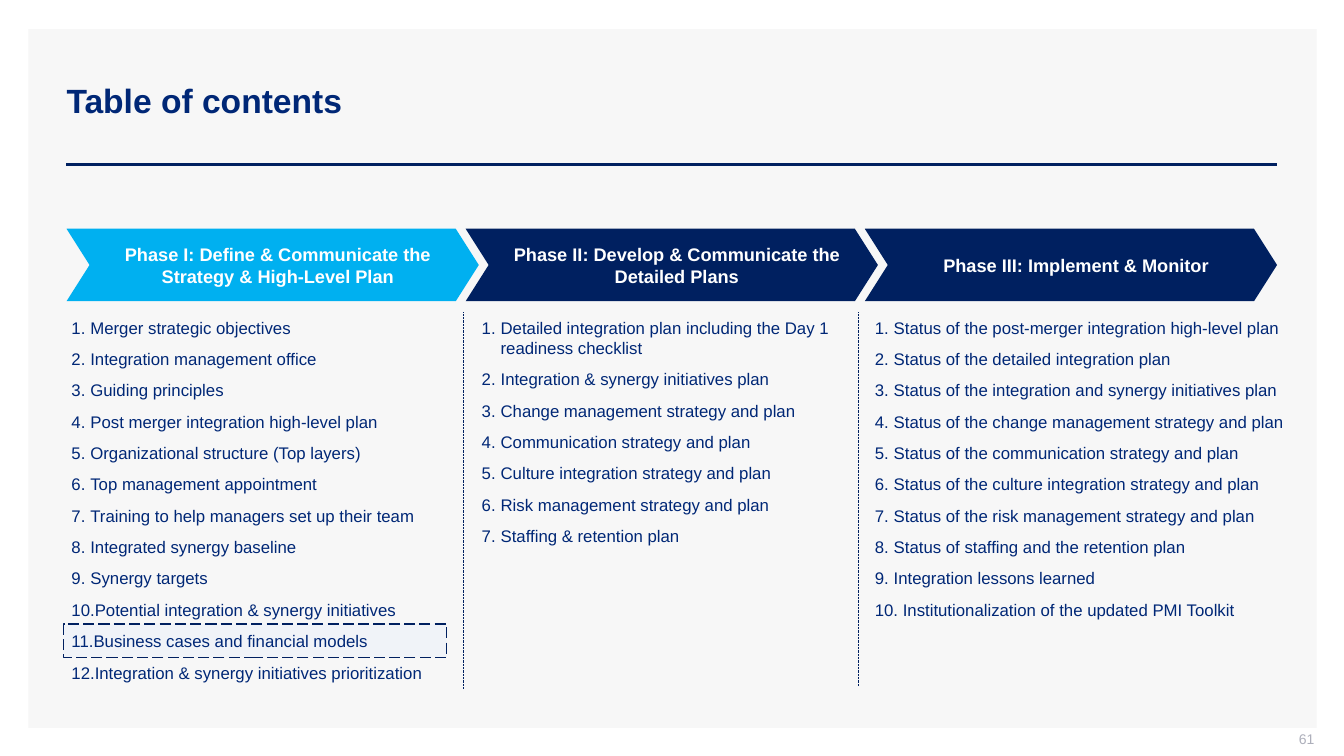
from lxml.etree import SubElement
from pptx import Presentation
from pptx.dml.color import RGBColor
from pptx.enum.dml import MSO_LINE
from pptx.enum.shapes import MSO_CONNECTOR, MSO_SHAPE
from pptx.enum.text import MSO_ANCHOR, MSO_AUTO_SIZE, PP_ALIGN
from pptx.oxml.ns import qn
from pptx.util import Pt

NAVY, TEXT_BLUE, SKY = "002060", "002776", "00B0F0"
WHITE, PANEL_GREY, NUMBER_GREY, HIGHLIGHT = "FFFFFF", "F7F7F7", "ADAFBB", "D6E3FF"

PHASES = [
    ("Phase I: Define & Communicate the Strategy & High-Level Plan", SKY, [
        "Merger strategic objectives",
        "Integration management office",
        "Guiding principles",
        "Post merger integration high-level plan",
        "Organizational structure (Top layers)",
        "Top management appointment",
        "Training to help managers set up their team",
        "Integrated synergy baseline",
        "Synergy targets",
        "Potential integration & synergy initiatives",
        "Business cases and financial models",
        "Integration & synergy initiatives prioritization",
    ]),
    ("Phase II: Develop & Communicate the Detailed Plans", NAVY, [
        "Detailed integration plan including the Day 1 readiness checklist",
        "Integration & synergy initiatives plan",
        "Change management strategy and plan",
        "Communication strategy and plan",
        "Culture integration strategy and plan",
        "Risk management strategy and plan",
        "Staffing & retention plan",
    ]),
    ("Phase III: Implement & Monitor", NAVY, [
        "Status of the post-merger integration high-level plan",
        "Status of the detailed integration plan",
        "Status of the integration and synergy initiatives plan",
        "Status of the change management strategy and plan",
        "Status of the communication strategy and plan",
        "Status of the culture integration strategy and plan",
        "Status of the risk management strategy and plan",
        "Status of staffing and the retention plan",
        "Integration lessons learned",
        " Institutionalization of the updated PMI Toolkit",
    ]),
]
LIST_BOXES = [(44, 223.2, 287.2, 270.7), (337, 223.2, 272.2, 172.1), (617.8, 223.2, 311, 225.4)]
DIVIDERS = [(331.2, 223.2, 269.3), (613.4, 223.2, 266.4)]  # x, top, height


def color(value):
    return RGBColor.from_string(value)


def add_run(paragraph, text, size, text_color, bold=False):
    run = paragraph.add_run()
    run.text = text
    font = run.font
    font.name, font.size, font.bold = "Arial", Pt(size), bold
    font.color.rgb = color(text_color)


def add_filled_shape(slide, kind, box, fill):
    shape = slide.shapes.add_shape(kind, *map(Pt, box))
    shape.shadow.inherit = False
    shape.fill.solid()
    shape.fill.fore_color.rgb = color(fill)
    shape.line.fill.background()
    return shape


def add_line(slide, start, end, width, dash=None):
    line = slide.shapes.add_connector(MSO_CONNECTOR.STRAIGHT, *map(Pt, start + end))
    line.line.color.rgb = color(NAVY)
    line.line.width = Pt(width)
    if dash is not None:
        line.line.dash_style = dash
    SubElement(line._element.spPr, qn("a:effectLst"))


def add_title(slide, box, text):
    title = slide.shapes.title
    title.left, title.top, title.width, title.height = map(Pt, box)
    frame = title.text_frame
    frame.auto_size = MSO_AUTO_SIZE.NONE
    frame.vertical_anchor = MSO_ANCHOR.MIDDLE
    paragraph = frame.paragraphs[0]
    paragraph.alignment = PP_ALIGN.LEFT
    add_run(paragraph, text, 24, TEXT_BLUE, bold=True)


def add_page_number(slide, box, text):
    frame = slide.shapes.add_textbox(*map(Pt, box)).text_frame
    frame.word_wrap = True
    frame.vertical_anchor = MSO_ANCHOR.MIDDLE
    frame.margin_top, frame.margin_right, frame.margin_bottom = Pt(0), Pt(0), Pt(3.6)
    paragraph = frame.paragraphs[0]
    paragraph.alignment = PP_ALIGN.RIGHT
    add_run(paragraph, text, 10, NUMBER_GREY)


def add_highlight(slide, box):
    """Dashed, mostly transparent frame behind the current chapter."""
    shape = add_filled_shape(slide, MSO_SHAPE.RECTANGLE, box, HIGHLIGHT)
    fill_color = shape._element.spPr.find(qn("a:solidFill"))[0]
    SubElement(fill_color, qn("a:alpha"), val="20000")
    shape.line.color.rgb = color(NAVY)
    shape.line.width = Pt(1)
    shape.line.dash_style = MSO_LINE.LONG_DASH


def add_phase_arrow(slide, box, text, fill):
    arrow = add_filled_shape(slide, MSO_SHAPE.CHEVRON, box, fill)
    arrow.adjustments[0] = 0.318
    frame = arrow.text_frame
    frame.word_wrap = True
    frame.margin_right = Pt(0)
    frame.vertical_anchor = MSO_ANCHOR.MIDDLE
    paragraph = frame.paragraphs[0]
    paragraph.alignment = PP_ALIGN.CENTER
    add_run(paragraph, text, 13, WHITE, bold=True)


def add_numbered_list(slide, box, items):
    frame = slide.shapes.add_textbox(*map(Pt, box)).text_frame
    frame.word_wrap = True
    frame.auto_size = MSO_AUTO_SIZE.SHAPE_TO_FIT_TEXT
    for index, item in enumerate(items):
        paragraph = frame.add_paragraph() if index else frame.paragraphs[0]
        properties = paragraph._p.get_or_add_pPr()
        properties.set("marL", str(Pt(13.5)))
        properties.set("indent", str(-Pt(13.5)))
        SubElement(properties, qn("a:buFont"), typeface="Arial")
        SubElement(properties, qn("a:buAutoNum"), type="arabicPeriod")
        paragraph.space_before = Pt(4 if index else 0)
        paragraph.space_after = Pt(4)
        add_run(paragraph, item, 12, TEXT_BLUE)


def add_phases(slide, left, top, right):
    """Overlapping phase arrows from left to right, with their lists below."""
    width, height = 294.5, 51.8
    step = (right - left - width) / (len(PHASES) - 1)
    for index, ((heading, fill, items), list_box) in enumerate(zip(PHASES, LIST_BOXES)):
        add_phase_arrow(slide, (left + index * step, top, width, height), heading, fill)
        add_numbered_list(slide, list_box, items)
    for x, divider_top, divider_height in DIVIDERS:
        add_line(slide, (x, divider_top), (x, divider_top + divider_height),
                 0.5, MSO_LINE.ROUND_DOT)


def add_contents_slide(presentation):
    slide = presentation.slides.add_slide(presentation.slide_layouts[5])
    panel = add_filled_shape(slide, MSO_SHAPE.RECTANGLE, (20.2, 20.9, 920.2, 499), PANEL_GREY)
    slide.shapes._spTree.insert(2, panel._element)
    add_line(slide, (47.5, 117.4), (912.2, 117.4), 2)
    add_title(slide, (40.3, 28.8, 871.9, 85.7), "Table of contents")
    add_page_number(slide, (722.9, 522, 216, 15.1), "61")
    add_highlight(slide, (45.4, 445.7, 273.6, 23.8))
    add_phases(slide, 47.5, 163.4, 912.2)


def main():
    presentation = Presentation()
    presentation.slide_width, presentation.slide_height = Pt(960), Pt(540)
    add_contents_slide(presentation)
    presentation.save("out.pptx")


if __name__ == "__main__":
    main()
